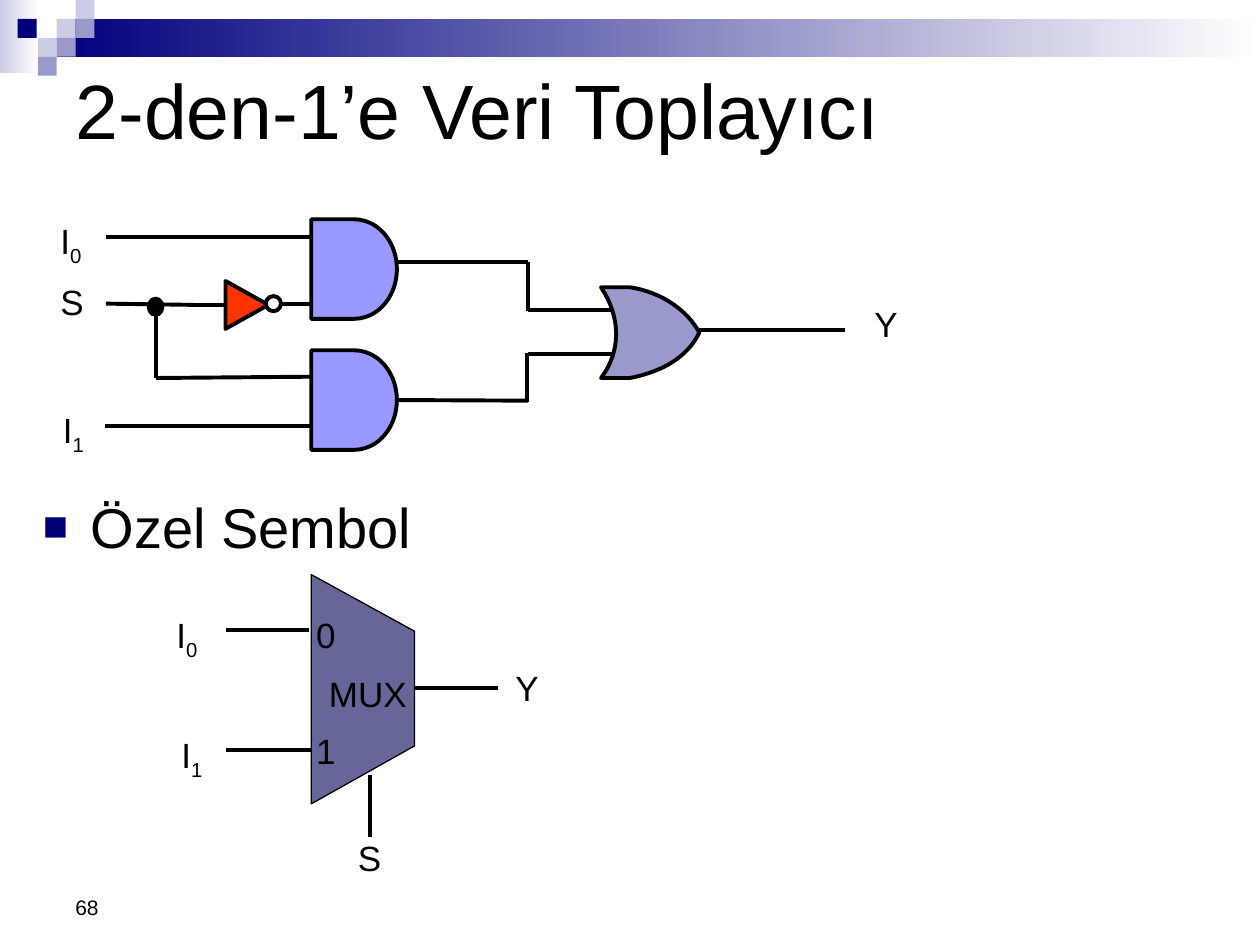
"""Build the slide on the 2-to-1 multiplexer: its gate circuit and its symbol."""
from dataclasses import dataclass

import pptx
import pptx.dml.color
import pptx.enum.shapes
import pptx.enum.text
import pptx.oxml
import pptx.oxml.ns
import pptx.util

Inches = pptx.util.Inches
Pt = pptx.util.Pt
SHAPE = pptx.enum.shapes.MSO_SHAPE
ANCHOR = pptx.enum.text.MSO_ANCHOR
AUTO = pptx.enum.text.MSO_AUTO_SIZE
Point = tuple[float, float]

COLORS = {
    "black": "000000", "white": "FFFFFF", "navy": "00007D", "pale": "CCCCE6",
    "lilac": "9999CC", "and": "9999FF", "not": "FF3300", "mux": "666699",
}
NO_INSETS = {"margin_left": 0, "margin_top": 0, "margin_right": 0, "margin_bottom": 0}
STROKE = 2.25
TILE = 0.15


@dataclass(frozen=True)
class Box:
    x: float
    y: float
    w: float
    h: float

    def emu(self) -> list[int]:
        return [Inches(v) for v in (self.x, self.y, self.w, self.h)]


@dataclass(frozen=True)
class Symbol:
    kind: int
    box: Box
    fill: str
    weight: float = STROKE
    rotation: int = 0


@dataclass(frozen=True)
class Wire:
    start: Point
    end: Point


@dataclass(frozen=True)
class Label:
    text: str
    x: float
    y: float
    w: float
    sub: str = ""


TILES = [(0.45, 0.15, "pale"), (0.6, 0, "pale"), (0.6, 0.15, "lilac"), (0.3, 0.3, "pale"),
         (0.14, 0.15, "navy"), (0.45, 0.3, "lilac"), (0.3, 0.45, "lilac")]
LOWER_AND = Symbol(SHAPE.FLOWCHART_DELAY, Box(2.47, 2.78, 0.68, 0.79), "and")
SYMBOLS = [
    Symbol(SHAPE.FLOWCHART_DELAY, Box(2.47, 1.74, 0.68, 0.79), "and"),
    Symbol(SHAPE.FLOWCHART_EXTRACT, Box(1.77, 2.25, 0.38, 0.34), "not", rotation=90),
    Symbol(SHAPE.OVAL, Box(2.11, 2.35, 0.12, 0.12), "white"),
    Symbol(SHAPE.OVAL, Box(1.17, 2.36, 0.13, 0.15), "black", 0.75),
]
WIRES = [
    Wire((0.84, 1.88), (2.47, 1.88)),
    Wire((0.84, 2.41), (1.54, 2.42)),
    Wire((1.54, 2.42), (1.79, 2.42)),
    Wire((2.22, 2.41), (2.47, 2.41)),
    Wire((1.24, 2.41), (1.24, 3)),
    Wire((1.24, 3), (2.47, 2.99)),
    Wire((0.83, 3.38), (2.47, 3.38)),
    Wire((3.15, 2.08), (4.19, 2.08)),
    Wire((4.19, 2.08), (4.19, 2.47)),
    Wire((4.19, 2.46), (4.86, 2.46)),
    Wire((4.18, 2.8), (4.18, 3.19)),
    Wire((4.19, 2.81), (4.86, 2.81)),
    Wire((5.55, 2.62), (6.71, 2.62)),
    Wire((1.79, 5), (2.45, 5)),
    Wire((1.79, 5.95), (2.47, 5.95)),
    Wire((2.94, 6.15), (2.94, 6.64)),
    Wire((3.29, 5.46), (3.95, 5.46)),
]
LABELS = [
    Label("I", 0.48, 1.74, 0.26, "0"),
    Label("S", 0.48, 2.23, 0.19),
    Label("I", 0.5, 3.24, 0.23, "1"),
    Label("Y", 6.94, 2.4, 0.18),
    Label("I", 1.4, 4.87, 0.26, "0"),
    Label("I", 1.44, 5.82, 0.23, "1"),
    Label("0", 2.51, 4.87, 0.17),
    Label("1", 2.51, 5.79, 0.12),
    Label("MUX", 2.61, 5.34, 0.65),
    Label("Y", 4.09, 5.29, 0.18),
    Label("S", 2.84, 6.64, 0.19),
]
MUX_OUTLINE = [(2.47, 6.38), (3.29, 5.92), (3.29, 5.01), (2.47, 4.56)]


def rgb(name: str) -> pptx.dml.color.RGBColor:
    return pptx.dml.color.RGBColor.from_string(COLORS[name])


def apply(target, values: dict) -> None:
    for name, value in values.items():
        setattr(target, name, value)


def style_font(font, size: float) -> None:
    apply(font, {"name": "Arial", "size": Pt(size), "bold": False})
    font.color.rgb = rgb("black")


def paint(sp, fill: str, weight: float = 0) -> None:
    sp.shadow.inherit = False
    sp.fill.solid()
    sp.fill.fore_color.rgb = rgb(fill)
    if weight:
        sp.line.color.rgb = rgb("black")
        sp.line.width = Pt(weight)
    else:
        sp.line.fill.background()


def add_gradient(s, box: Box, start: str) -> None:
    sp = s.shapes.add_shape(SHAPE.RECTANGLE, *box.emu())
    paint(sp, start)
    sp.fill.gradient()
    sp.fill.gradient_angle = 0
    for stop, color in zip(sp.fill.gradient_stops, (start, "white")):
        stop.color.rgb = rgb(color)


def add_symbol(s, symbol: Symbol):
    sp = s.shapes.add_shape(symbol.kind, *symbol.box.emu())
    sp.rotation = symbol.rotation
    paint(sp, symbol.fill, symbol.weight)
    return sp


def add_outline(s, points: list[Point], fill: str, weight: float) -> None:
    start, *rest = [(Inches(x), Inches(y)) for x, y in points]
    builder = s.shapes.build_freeform(*start)
    builder.add_line_segments(rest, close=True)
    paint(builder.convert_to_shape(), fill, weight)


def curve(a: Point, b: Point, c: Point, d: Point, steps: int = 16) -> list[Point]:
    points = []
    for i in range(steps + 1):
        t = i / steps
        weights = ((1 - t) ** 3, 3 * t * (1 - t) ** 2, 3 * t * t * (1 - t), t ** 3)
        points.append(tuple(sum(k * p[axis] for k, p in zip(weights, (a, b, c, d)))
                            for axis in (0, 1)))
    return points


def add_wire(s, wire: Wire):
    ends = [Inches(v) for v in wire.start + wire.end]
    line = s.shapes.add_connector(pptx.enum.shapes.MSO_CONNECTOR.STRAIGHT, *ends)
    line.line.color.rgb = rgb("black")
    line.line.width = Pt(STROKE)
    pptx.oxml.ns.qn("a:effectLst")
    line._element.spPr.append(pptx.oxml.parse_xml(
        f'<a:effectLst {pptx.oxml.ns.nsdecls("a")}/>'))
    return line


def add_label(s, label: Label) -> None:
    tf = s.shapes.add_textbox(*Box(label.x, label.y, label.w, 0.33).emu()).text_frame
    apply(tf, NO_INSETS | {"word_wrap": False, "auto_size": AUTO.SHAPE_TO_FIT_TEXT})
    for text, baseline in ((label.text, 0), (label.sub, -25000)):
        if text:
            r = tf.paragraphs[0].add_run()
            r.text = text
            style_font(r.font, 20)
            r._r.get_or_add_rPr().set("baseline", str(baseline))


def fill_text(sp, box: Box, text: str, size: float, anchor):
    apply(sp, dict(zip(("left", "top", "width", "height"), box.emu())))
    tf = sp.text_frame
    apply(tf, {"word_wrap": True, "auto_size": AUTO.NONE, "vertical_anchor": anchor})
    p = tf.paragraphs[0]
    r = p.add_run()
    r.text = text
    apply(p, {"alignment": pptx.enum.text.PP_ALIGN.LEFT, "space_before": Pt(0)})
    style_font(r.font, size)
    return p


def add_bullet(p) -> None:
    pPr = p._p.get_or_add_pPr()
    apply_indent = {"marL": Inches(0.38), "indent": -Inches(0.38)}
    for name, value in apply_indent.items():
        pPr.set(name, str(int(value)))
    ns = pptx.oxml.ns.nsdecls("a")
    for xml in (f'<a:buClr {ns}><a:srgbClr val="{COLORS["navy"]}"/></a:buClr>',
                f'<a:buSzPct {ns} val="75000"/>', f'<a:buFont {ns} typeface="Arial"/>',
                f'<a:buChar {ns} char="■"/>'):
        pPr.append(pptx.oxml.parse_xml(xml))


def main() -> None:
    prs = pptx.Presentation()
    apply(prs, {"slide_width": Inches(10), "slide_height": Inches(7.5)})
    s = prs.slides.add_slide(prs.slide_layouts[1])
    add_gradient(s, Box(0, 0, 0.31, 0.58), "pale")
    add_gradient(s, Box(0.45, 0.15, 9.55, 0.3), "navy")
    for x, y, color in TILES:
        paint(s.shapes.add_shape(SHAPE.RECTANGLE, *Box(x, y, TILE, TILE).emu()), color)

    fill_text(s.shapes.title, Box(0.5, 0.5, 9, 0.73), "2-den-1’e Veri Toplayıcı", 44, ANCHOR.MIDDLE)
    add_bullet(fill_text(s.placeholders[1], Box(0.24, 3.86, 9.58, 0.7), "Özel Sembol", 32, ANCHOR.TOP))
    number = Box(0.5, 6.83, 2.33, 0.52)
    fill_text(s.shapes.add_textbox(*number.emu()), number, "68", 12, ANCHOR.BOTTOM)

    or_gate = (curve((5.55, 2.64), (5.46, 2.83), (5.26, 2.95), (5, 3))
               + curve((4.77, 3), (4.93, 2.79), (4.93, 2.52), (4.77, 2.28))
               + curve((5, 2.28), (5.26, 2.32), (5.46, 2.47), (5.55, 2.64))[:-1])
    add_outline(s, or_gate, "lilac", STROKE)
    add_outline(s, MUX_OUTLINE, "mux", 0.75)
    for symbol in SYMBOLS:
        add_symbol(s, symbol)
    lower_and = add_symbol(s, LOWER_AND)
    for wire in WIRES:
        add_wire(s, wire)
    add_wire(s, Wire((3.15, 3.18), (4.19, 3.18))).begin_connect(lower_and, 3)
    for label in LABELS:
        add_label(s, label)
    prs.save("out.pptx")


if __name__ == "__main__":
    main()
